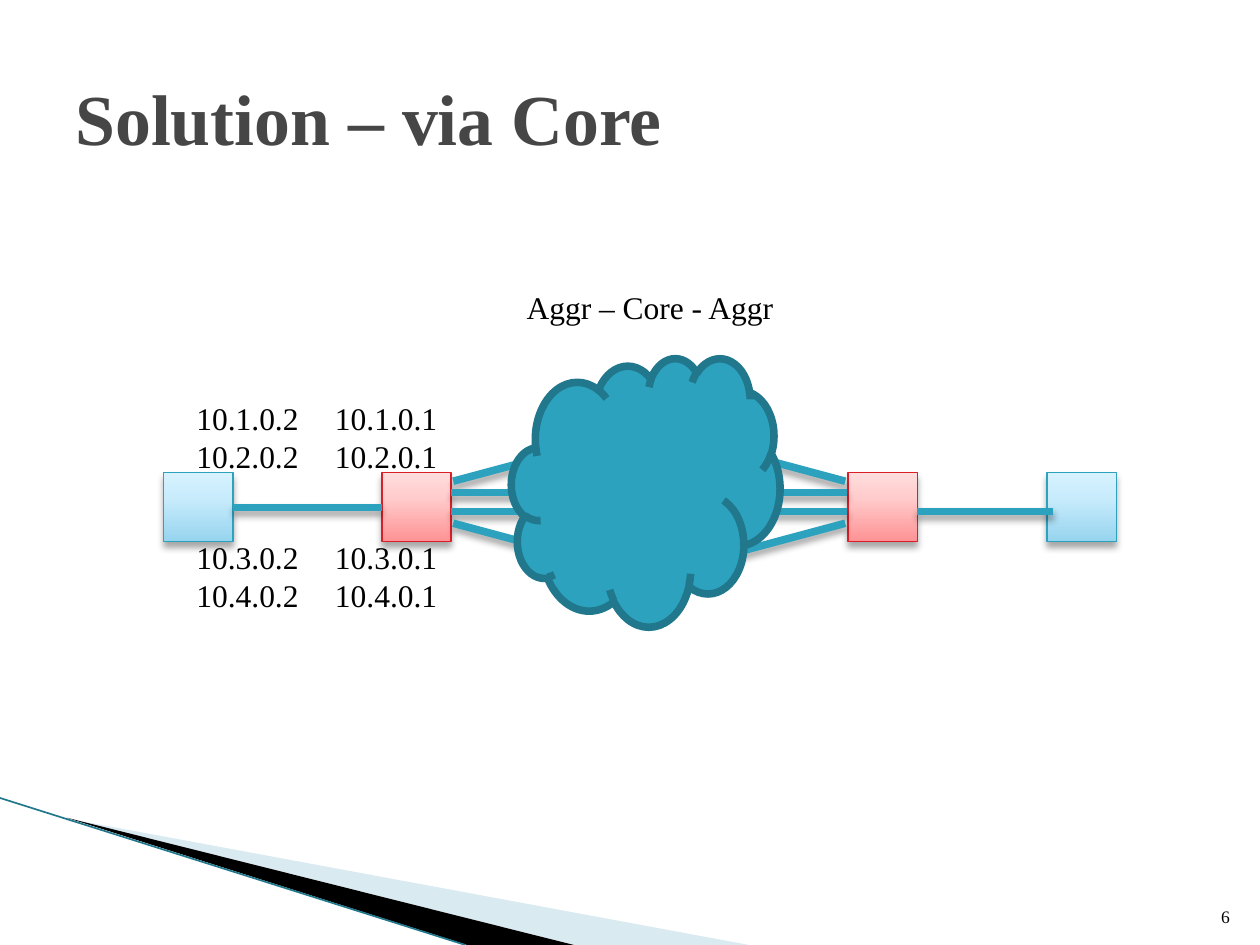
from dataclasses import dataclass
from lxml.etree import SubElement as Sub
from pptx import Presentation
from pptx.dml.color import RGBColor as RGB
from pptx.enum.shapes import MSO_CONNECTOR as Conn, MSO_SHAPE as Geom
from pptx.enum.text import MSO_ANCHOR as Anchor, PP_ALIGN as Align
from pptx.oxml.ns import qn
from pptx.util import Pt


@dataclass(frozen=True)
class Theme:
    font: str = "Times New Roman"
    head: int = 41
    body: int = 18
    small: int = 10
    ink: str = "000000"
    grey: str = "464646"
    pale: str = "A0CBDC"
    teal: str = "2DA2BF"
    deep: str = "21788D"
    red: str = "DA1F28"
    blues: tuple = ("96D4EE", "C9ECFC", "D7F2FF")
    reds: tuple = ("FF9294", "FFCDCD", "FFDCDC")
    thick: float = 4.33
    thin: float = 0.75


class Deck:
    def __init__(self, theme):
        self.theme = theme
        self.prs = Presentation()
        self.prs.slide_width, self.prs.slide_height = Pt(720), Pt(540)
        self.slide = self.prs.slides.add_slide(self.prs.slide_layouts[6])
        self.shapes = self.slide.shapes

    def shade(self, shape, on=True):
        """Set the effects of a shape, after its fill and line."""
        fx = Sub(shape._element.spPr, qn("a:effectLst"))
        if on:
            drop = Sub(fx, qn("a:outerShdw"), blurRad=str(Pt(4)),
                       dist=str(Pt(3)), dir="5400000", rotWithShape="0")
            tone = Sub(drop, qn("a:srgbClr"), val=self.theme.ink)
            Sub(tone, qn("a:alpha"), val="35000")

    def stroke(self, shape, color, width):
        shape.line.color.rgb = RGB.from_string(color)
        shape.line.width = Pt(width)

    def text(self, box, lines, size=None, color=None, bold=False,
             align=Align.LEFT, anchor=Anchor.TOP, wrap=False):
        frame = self.shapes.add_textbox(*map(Pt, box)).text_frame
        frame.word_wrap, frame.vertical_anchor = wrap, anchor
        frame.text = "\n".join(lines)
        for para in frame.paragraphs:
            para.alignment = align
            font = para.font
            font.name, font.bold = self.theme.font, bold
            font.size = Pt(size or self.theme.body)
            font.color.rgb = RGB.from_string(color or self.theme.ink)

    def wedge(self, dots, color, alpha=100):
        first, *rest = [(Pt(x), Pt(y)) for x, y in dots]
        path = self.shapes.build_freeform(*first)
        path.add_line_segments(rest, close=True)
        shape = path.convert_to_shape()
        shape.fill.solid()
        shape.fill.fore_color.rgb = RGB.from_string(color)
        shape.line.fill.background()
        if alpha < 100:
            tone = shape._element.spPr.find(".//" + qn("a:srgbClr"))
            Sub(tone, qn("a:alpha"), val=str(alpha * 1000))
        self.shade(shape, False)

    def node(self, x, y, side, tones, edge):
        shape = self.shapes.add_shape(Geom.RECTANGLE, *map(Pt, (x, y, side, side)))
        shape.fill.gradient()
        shape.fill.gradient_angle = 90
        stops = shape._element.spPr.find(".//" + qn("a:gsLst"))
        stops.clear()
        for pos, tone in zip((0, 65, 100), tones):
            stop = Sub(stops, qn("a:gs"), pos=str(pos * 1000))
            Sub(stop, qn("a:srgbClr"), val=tone)
        self.stroke(shape, edge, self.theme.thin)
        self.shade(shape)

    def cloud(self, x, y, side):
        shape = self.shapes.add_shape(Geom.CLOUD, *map(Pt, (x, y, side, side)))
        shape.fill.solid()
        shape.fill.fore_color.rgb = RGB.from_string(self.theme.teal)
        self.stroke(shape, self.theme.deep, self.theme.thick)
        self.shade(shape, False)

    def link(self, x1, y1, x2, y2, color=None, width=None, shadow=True):
        line = self.shapes.add_connector(Conn.STRAIGHT, *map(Pt, (x1, y1, x2, y2)))
        self.stroke(line, color or self.theme.teal, width or self.theme.thick)
        self.shade(line, shadow)


def main():
    theme = Theme()
    deck = Deck(theme)

    # Corner decoration
    deck.wedge([(39.6, 468), (428, 540), (328, 540)], theme.pale, 40)
    deck.wedge([(38.2, 467.3), (328, 540), (267, 540)], theme.ink)
    deck.link(0, 456, 266, 540, theme.deep, 0.95, False)

    # Page number and title
    deck.text((681, 504.7, 28.8, 28.8), ["6"], theme.small,
              align=Align.RIGHT, anchor=Anchor.BOTTOM, wrap=True)
    deck.text((36, 21.6, 648, 90), ["Solution – via Core"], theme.head,
              theme.grey, True, anchor=Anchor.MIDDLE, wrap=True)

    # Hosts and switches
    side, top = 39.6, 270
    for xs, tones, edge in (((93.6, 598.3), theme.blues, theme.teal),
                            ((218.2, 484.6), theme.reds, theme.red)):
        for x in xs:
            deck.node(x, top, side, tones, edge)

    # Addresses above and below each end of the first link
    for x, host in ((105.1, 2), (184.3, 1)):
        for y, nets in ((224.6, (1, 2)), (303.8, (3, 4))):
            deck.text((x, y, 73.4, 51), [f"10.{net}.0.{host}" for net in nets])

    # Links, with the fan mirrored on both sides of the cloud
    deck.link(133.2, 290, 218.2, 290)
    span = 742
    fan = ((259, 275, 341, 253), (257.8, 281.5, 342.5, 281.5),
           (257.8, 292.3, 342.5, 292.3), (259, 299, 341, 321))
    for x1, y1, x2, y2 in fan:
        deck.link(x1, y1, x2, y2)
        deck.link(span - x2, y2, span - x1, y1)

    # Core
    deck.cloud(292.3, 204.5, 153.4)
    deck.link(524.2, 292.3, 602, 292.3)
    deck.text((293.8, 161.3, 157, 28.8), ["Aggr – Core - Aggr"])

    deck.prs.save("out.pptx")


if __name__ == "__main__":
    main()
